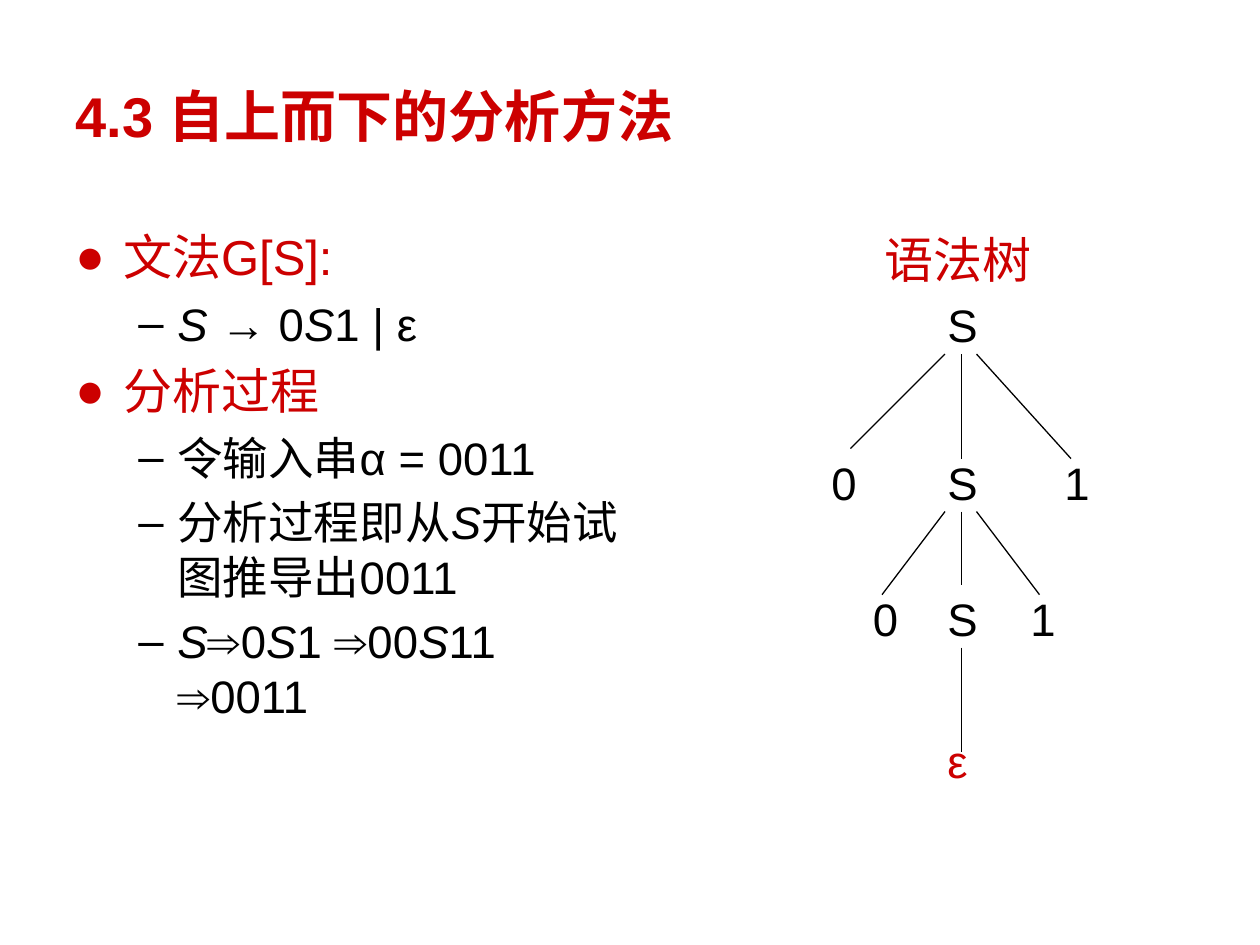
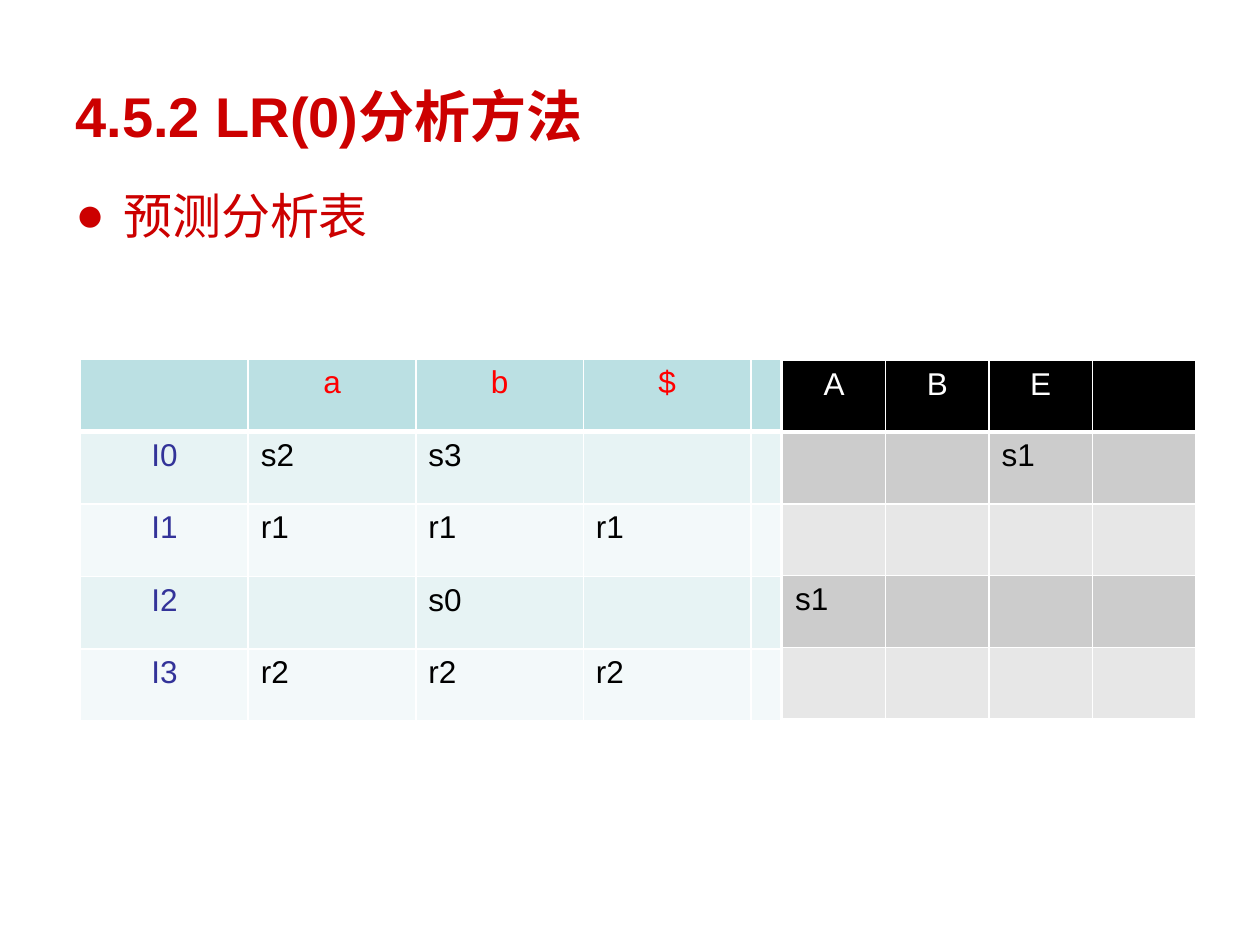
from lxml import etree
from pptx import Presentation
from pptx.dml.color import RGBColor
from pptx.enum.shapes import MSO_CONNECTOR
from pptx.enum.text import MSO_ANCHOR, MSO_AUTO_SIZE, PP_ALIGN
from pptx.oxml.ns import qn
from pptx.util import Inches, Pt

LINE = MSO_CONNECTOR.STRAIGHT
MIDDLE = MSO_ANCHOR.MIDDLE
TOP = MSO_ANCHOR.TOP
GROW = MSO_AUTO_SIZE.SHAPE_TO_FIT_TEXT
LEFT, CENTER = PP_ALIGN.LEFT, PP_ALIGN.CENTER

FONT = "Arial"
COLORS = {
    "accent": "CC0000", "text": "000000", "rule": "FFFFFF",
    "token": "FF0000", "state": "333399", "goto": "FFFFFF",
}
ACTION = {"head": "BBE0E3", "odd": "E7F3F4", "even": "F3F9FA"}
GOTO = {"head": "000000", "odd": "CCCCCC", "even": "E7E7E7"}
LEVELS = [
    {"mark": "●", "size": 28, "color": "accent", "left": 0.38, "hang": 0.38},
    {"mark": "–", "size": 26, "color": "text", "left": 0.81, "hang": 0.31},
]


def rgb(name):
    return RGBColor.from_string(COLORS[name])


def style(para, size, color, bold=False):
    font = para.font
    font.name = FONT
    font.size = Pt(size)
    font.bold = bold
    font.color.rgb = rgb(color)


def add_box(slide, left, top, width, height, wrap=True, anchor=TOP):
    box = slide.shapes.add_textbox(
        Inches(left), Inches(top), Inches(width), Inches(height))
    frame = box.text_frame
    frame.word_wrap = wrap
    frame.vertical_anchor = anchor
    return frame


def add_title(slide, text):
    para = add_box(slide, 0.5, 0.5, 6.25, 0.83, anchor=MIDDLE).paragraphs[0]
    para.text = text
    style(para, 32, "accent", bold=True)


def add_bullet(para, level):
    props = para._p.get_or_add_pPr()
    props.set("marL", str(Inches(level["left"])))
    props.set("indent", str(-Inches(level["hang"])))
    color = etree.SubElement(props, qn("a:buClr"))
    etree.SubElement(color, qn("a:srgbClr"), val=COLORS[level["color"]])
    etree.SubElement(props, qn("a:buFont"), typeface=FONT)
    etree.SubElement(props, qn("a:buChar"), char=level["mark"])


def add_list(slide, spot, items):
    frame = add_box(slide, *spot)
    for index, (depth, text) in enumerate(items):
        para = frame.add_paragraph() if index else frame.paragraphs[0]
        level = LEVELS[depth]
        add_bullet(para, level)
        if index:
            para.space_before = Pt(level["size"] * 0.22)
        style(para, level["size"], level["color"])
        for part, piece in enumerate(text.split("*")):
            if piece:
                run = para.add_run()
                run.text = piece
                if part % 2:
                    run.font.italic = True


def add_label(slide, text, left, top, width=0.4, color="text"):
    frame = add_box(slide, left, top, width, 0.53, wrap=False)
    frame.auto_size = GROW
    para = frame.paragraphs[0]
    para.text = text
    style(para, 26, color)


def add_line(slide, start, end):
    line = slide.shapes.add_connector(LINE, *map(Inches, start + end))
    line.line.color.rgb = rgb("text")
    line.line.width = Pt(0.75)
    etree.SubElement(line._element.spPr, qn("a:effectLst"))


def add_branch(slide, top, ends, leaves, row):
    for start, end in zip((7.5, 7.63, 7.75), ends):
        add_line(slide, (start, top), end)
    for text, left in zip("0S1", leaves):
        add_label(slide, text, left, row, 0.44 if text == "S" else 0.4)


def add_tree(slide):
    para = add_box(slide, 6.42, 1.77, 2.36, 0.57).paragraphs[0]
    para.text = "语法树"
    para.alignment = CENTER
    style(para, 28, "accent")
    add_label(slide, "S", 7.42, 2.31, 0.44)
    add_branch(slide, 2.81, [(6.75, 3.56), (7.63, 3.64), (8.5, 3.64)],
               (6.5, 7.42, 8.35), 3.56)
    add_branch(slide, 4.06, [(7, 4.72), (7.63, 4.64), (8.25, 4.72)],
               (6.83, 7.42, 8.08), 4.64)
    add_line(slide, (7.63, 5.14), (7.63, 5.97))
    add_label(slide, "ε", 7.42, 5.77, 0.36, "accent")


def add_edges(cell, base):
    props = cell._tc.get_or_add_tcPr()
    for side, width in (("L", 1), ("R", 1), ("T", 1), ("B", base)):
        edge = etree.SubElement(props, qn(f"a:ln{side}"), w=str(Pt(width)))
        fill = etree.SubElement(edge, qn("a:solidFill"))
        etree.SubElement(fill, qn("a:srgbClr"), val=COLORS["rule"])


def add_grid(slide, left, top, widths, height, rows, fills, head, states):
    table = slide.shapes.add_table(
        len(rows), len(widths), Inches(left), Inches(top),
        Inches(sum(widths)), Inches(height * len(rows))).table
    for column, width in zip(table.columns, widths):
        column.width = Inches(width)
    for y, row in enumerate(rows):
        table.rows[y].height = Inches(height)
        shade = "head" if y == 0 else "odd" if y % 2 else "even"
        for x, text in enumerate(row):
            cell = table.cell(y, x)
            add_edges(cell, 1 if y else 3)
            cell.fill.solid()
            cell.fill.fore_color.rgb = RGBColor.from_string(fills[shade])
            label = states and x == 0
            color = "state" if label else "text"
            para = cell.text_frame.paragraphs[0]
            para.text = text
            para.alignment = CENTER if y == 0 or label else LEFT
            style(para, 18, color if y else head)


def add_parse_slide(slide):
    add_title(slide, "4.3 自上而下的分析方法")
    add_list(slide, (0.5, 1.75, 4.58, 4.95), [
        (0, "文法G[S]:"),
        (1, "*S *→ 0*S*1 | ε"),
        (0, "分析过程"),
        (1, "令输入串α = 0011"),
        (1, "分析过程即从*S*开始试图推导出0011"),
        (1, "*S*⇒0*S*1 ⇒00*S*11 ⇒0011"),
    ])
    add_tree(slide)


def add_table_slide(slide):
    add_title(slide, "4.5.2 LR(0)分析方法")
    add_list(slide, (0.5, 1.42, 9, 0.7), [(0, "预测分析表")])
    add_grid(slide, 0.64, 2.85, [1.33] * 4 + [0.23], 0.575, [
        ["", "a", "b", "$", ""],
        ["I0", "s2", "s3", "", ""],
        ["I1", "r1", "r1", "r1", ""],
        ["I2", "", "s0", "", ""],
        ["I3", "r2", "r2", "r2", ""],
    ], ACTION, "token", True)
    add_grid(slide, 6.21, 2.86, [0.82] * 4, 0.57, [
        ["A", "B", "E", ""],
        ["", "", "s1", ""],
        [""] * 4,
        ["s1", "", "", ""],
        [""] * 4,
    ], GOTO, "goto", False)


def main():
    deck = Presentation()
    deck.slide_width = Inches(10)
    deck.slide_height = Inches(7.5)
    blank = deck.slide_layouts[6]
    for build in (add_parse_slide, add_table_slide):
        build(deck.slides.add_slide(blank))
    deck.save("out.pptx")


if __name__ == "__main__":
    main()
